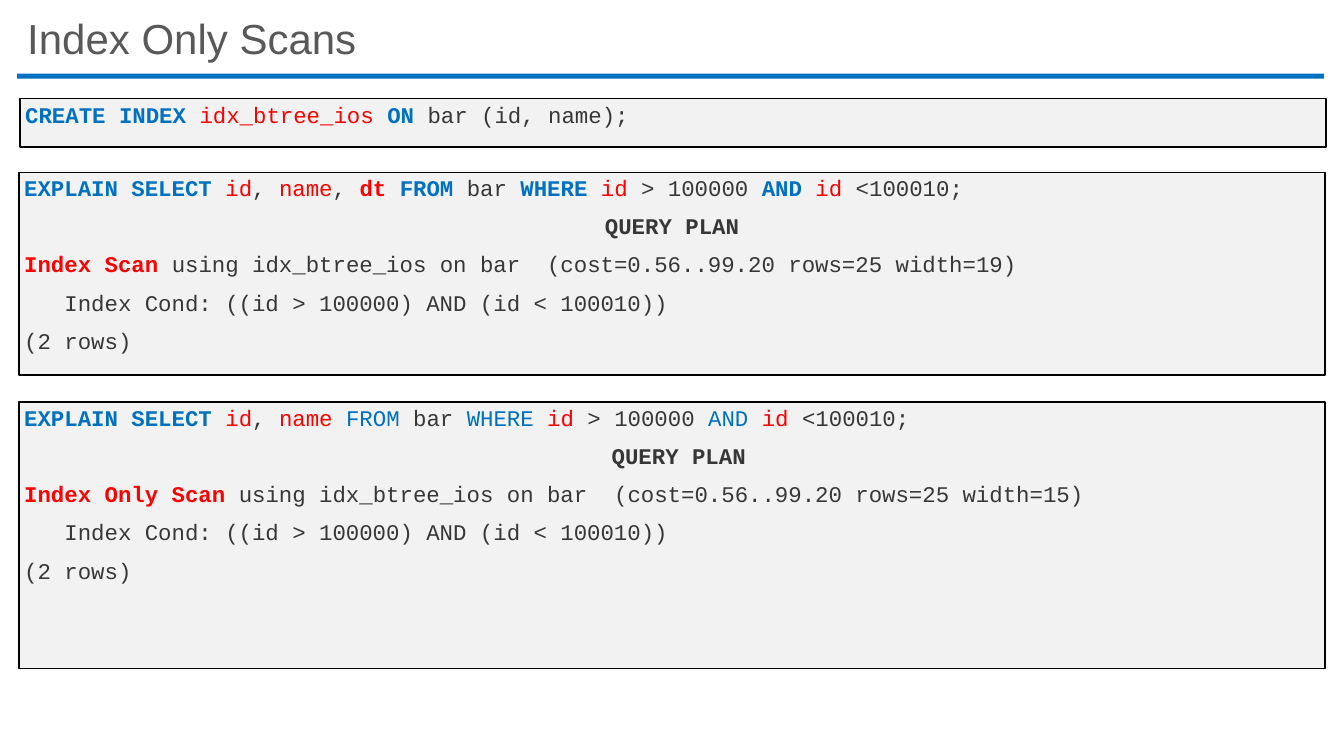
from pptx import Presentation
from pptx.dml.color import RGBColor
from pptx.enum.shapes import MSO_SHAPE
from pptx.enum.text import MSO_ANCHOR, PP_ALIGN
from pptx.util import Inches, Pt

RECTANGLE = MSO_SHAPE.RECTANGLE
TOP, MIDDLE = MSO_ANCHOR.TOP, MSO_ANCHOR.MIDDLE
LEFT, CENTER = PP_ALIGN.LEFT, PP_ALIGN.CENTER

COLORS = {
    "blue": "0070C0",
    "red": "FF0000",
    "text": "373737",
    "title": "595959",
    "panel": "F2F2F2",
    "border": "000000",
}

STYLES = {
    "keyword": ("blue", True),
    "light keyword": ("blue", False),
    "name": ("red", False),
    "strong name": ("red", True),
    "text": ("text", False),
    "heading": ("text", True),
}

CREATE_INDEX = [
    [("keyword", "CREATE INDEX "), ("name", "idx_btree_ios "),
     ("keyword", "ON"), ("text", " bar (id, name);")],
]

PLAN_DETAILS = [
    [("text", "   Index Cond: ((id > 100000) AND (id < 100010))")],
    [("text", "(2 rows)")],
]

INDEX_SCAN = [
    [("keyword", "EXPLAIN SELECT "), ("name", "id"), ("text", ", "),
     ("name", "name"), ("text", ", "), ("strong name", "dt "),
     ("keyword", "FROM"), ("text", " bar "), ("keyword", "WHERE "),
     ("name", "id"), ("text", " > 100000 "), ("keyword", "AND "),
     ("name", "id"), ("text", " <100010;")],
    [("heading", "QUERY PLAN")],
    [("strong name", "Index Scan "),
     ("text", "using idx_btree_ios on bar  (cost=0.56..99.20 rows=25 width=19)")],
] + PLAN_DETAILS

INDEX_ONLY_SCAN = [
    [("keyword", "EXPLAIN SELECT "), ("name", "id"), ("text", ", "),
     ("name", "name "), ("light keyword", "FROM"), ("text", " bar "),
     ("light keyword", "WHERE "), ("name", "id"), ("text", " > 100000 "),
     ("light keyword", "AND "), ("name", "id"), ("text", " <100010;")],
    [("heading", " QUERY PLAN")],
    [("strong name", "Index Only Scan"),
     ("text", " using idx_btree_ios on bar  (cost=0.56..99.20 rows=25 width=15)")],
] + PLAN_DETAILS

PANELS = [
    (0.2, 0.98, 0.48, CREATE_INDEX),
    (0.19, 1.71, 2.01, INDEX_SCAN),
    (0.19, 3.99, 2.64, INDEX_ONLY_SCAN),
]


def color(name):
    """Return the named colour."""
    return RGBColor.from_string(COLORS[name])


def add_rectangle(slide, left, top, width, height, fill):
    """Add a filled rectangle without an outline."""
    shape = slide.shapes.add_shape(
        RECTANGLE, Inches(left), Inches(top), Inches(width), Inches(height))
    shape.shadow.inherit = False
    shape.fill.solid()
    shape.fill.fore_color.rgb = color(fill)
    shape.line.fill.background()
    return shape


def set_title(slide, text):
    """Place and format the slide title."""
    title = slide.shapes.title
    title.left, title.top = Inches(0.17), Inches(0.15)
    title.width, title.height = Inches(12.96), Inches(0.52)
    title.text_frame.text = text
    title.text_frame.vertical_anchor = MIDDLE
    paragraph = title.text_frame.paragraphs[0]
    paragraph.alignment = LEFT
    paragraph.line_spacing = 0.9
    font = paragraph.runs[0].font
    font.name, font.size = "Arial", Pt(30)
    font.color.rgb = color("title")


def write_code_line(paragraph, segments):
    """Write one line of code from styled segments."""
    paragraph.alignment = CENTER if segments[0][0] == "heading" else LEFT
    paragraph.line_spacing = 0.9
    for style, text in segments:
        color_name, bold = STYLES[style]
        run = paragraph.add_run()
        run.text = text
        run.font.name, run.font.size = "Courier New", Pt(16)
        run.font.bold = bold
        run.font.color.rgb = color(color_name)


def add_code_panel(slide, left, top, height, lines):
    """Add a bordered panel of code lines."""
    panel = add_rectangle(slide, left, top, 12.95, height, "panel")
    panel.line.color.rgb = color("border")
    panel.line.width = Pt(1)
    frame = panel.text_frame
    frame.word_wrap = True
    frame.vertical_anchor = TOP
    frame.margin_left = frame.margin_right = Inches(0.05)
    frame.margin_top = frame.margin_bottom = Inches(0.05)
    for index, segments in enumerate(lines):
        paragraph = frame.add_paragraph() if index else frame.paragraphs[0]
        if index:
            paragraph.space_before = Pt(10)
        write_code_line(paragraph, segments)


def main():
    """Build the slide and save it."""
    presentation = Presentation()
    presentation.slide_width = Inches(13.33)
    presentation.slide_height = Inches(7.5)
    slide = presentation.slides.add_slide(presentation.slide_layouts[5])
    add_rectangle(slide, 0.17, 0.73, 12.96, 0.05, "blue")
    for left, top, height, lines in PANELS:
        add_code_panel(slide, left, top, height, lines)
    set_title(slide, "Index Only Scans")
    presentation.save("out.pptx")


if __name__ == "__main__":
    main()
